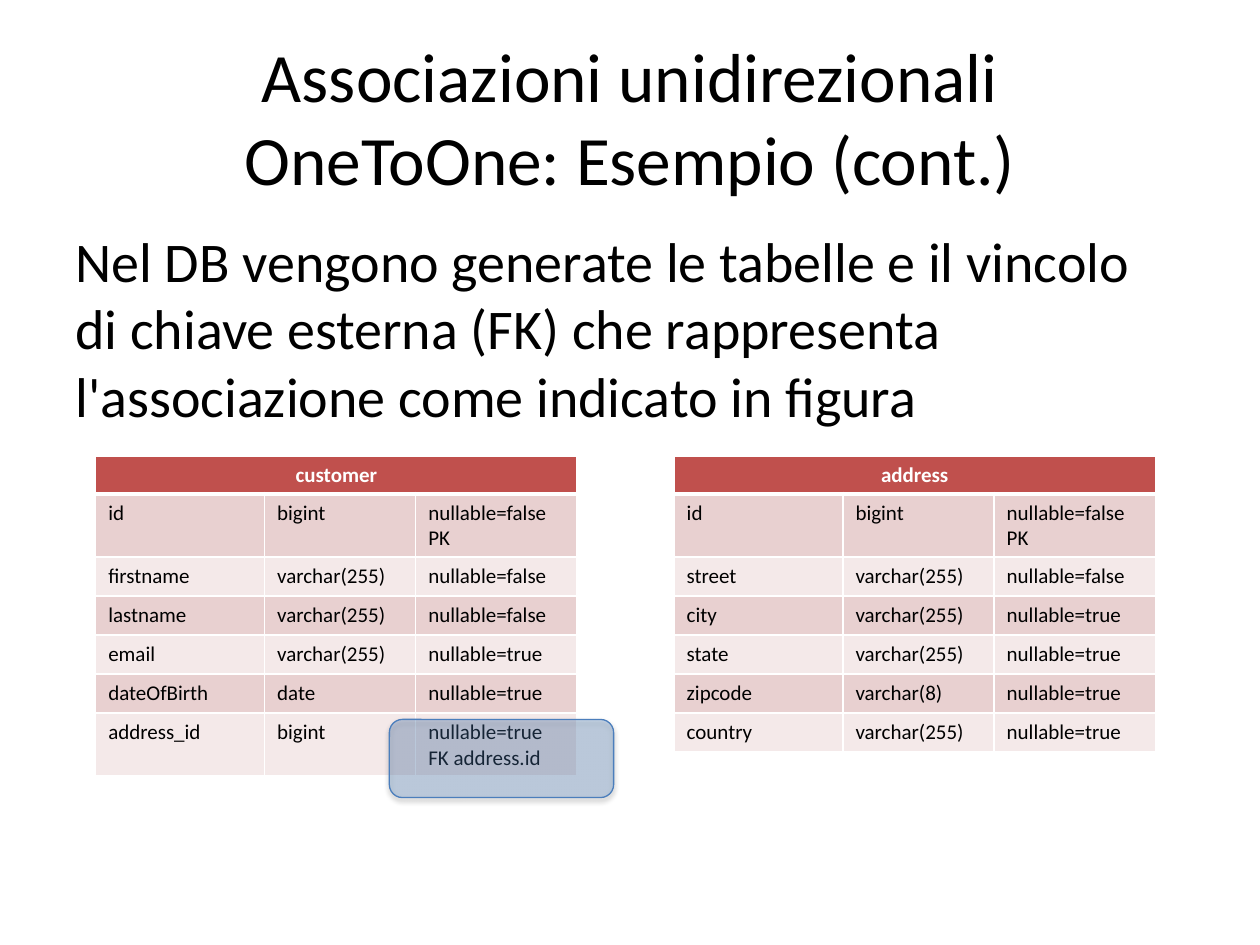
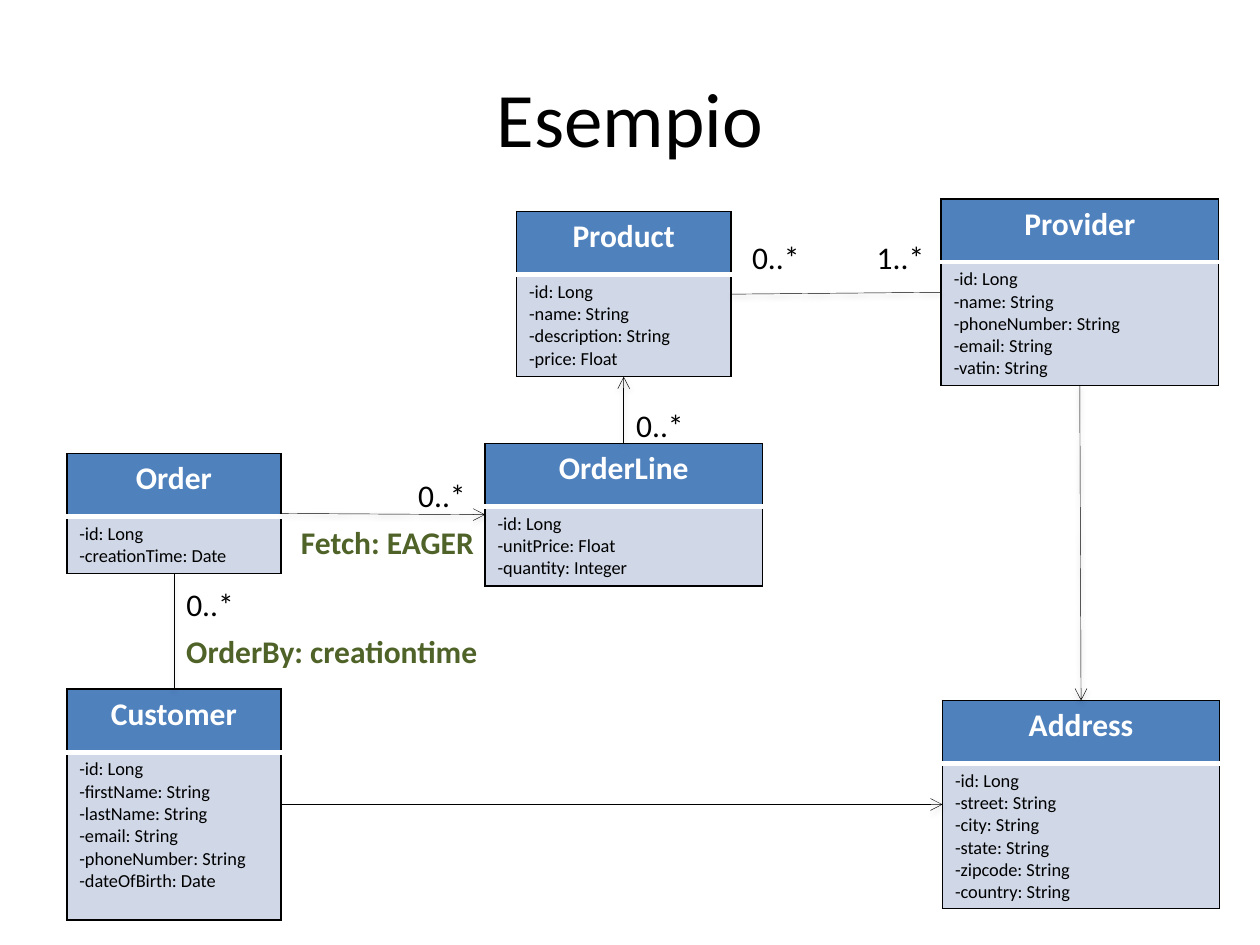
from dataclasses import dataclass

from lxml import etree
from pptx import Presentation
from pptx.dml.color import RGBColor
from pptx.enum.shapes import MSO_CONNECTOR, MSO_SHAPE
from pptx.enum.text import MSO_ANCHOR, PP_ALIGN
from pptx.oxml.ns import qn
from pptx.util import Emu, Inches, Pt

LEFT, CENTER = PP_ALIGN.LEFT, PP_ALIGN.CENTER
TOP_ANCHOR, MIDDLE_ANCHOR = MSO_ANCHOR.TOP, MSO_ANCHOR.MIDDLE
STRAIGHT = MSO_CONNECTOR.STRAIGHT
ROUNDED = MSO_SHAPE.ROUNDED_RECTANGLE
TOP, LEFT_SIDE, BOTTOM, RIGHT_SIDE = range(4)

SLIDE_W, SLIDE_H = Inches(10), Inches(7.5)
COLUMNS, ROWS = 100, 75
FONT = "Calibri"
BLACK, WHITE = "000000", "FFFFFF"
BLUE, BLUE_EDGE, PALE_BLUE = "4F81BD", "4B7EBC", "D0D8E8"
RED, BANDS = "C0504D", ("E8D0D0", "F4E9E9")
GREEN = "4F6228"


@dataclass(frozen=True)
class Style:
    size: float
    color: str = BLACK
    bold: bool = False
    align: PP_ALIGN = LEFT


@dataclass(frozen=True)
class Box:
    x: float
    y: float
    w: float
    h: float


@dataclass(frozen=True)
class DbTable:
    name: str
    x: float
    fields: tuple


@dataclass(frozen=True)
class UmlClass:
    name: str
    box: Box
    fields: tuple


@dataclass(frozen=True)
class Link:
    start: str
    start_side: int
    end: str
    end_side: int
    arrow: bool = True


@dataclass(frozen=True)
class Label:
    text: str
    box: Box
    style: Style


BODY = Style(32)
DB_HEAD, DB_CELL = Style(12, WHITE, True, CENTER), Style(12)
UML_HEAD, UML_CELL = Style(18, WHITE, True, CENTER), Style(10.5)
COUNT, NOTE = Style(18), Style(18, GREEN, True)

DB_TOP, DB_WIDTHS = 36.2, (13.4, 12, 12.8)
DB_HEAD_H, DB_ROW_H, UML_HEAD_H = 2.3, 3.1, 5
REQUIRED, OPTIONAL = "nullable=false", "nullable=true"
KEY = ("id", "bigint", "nullable=false\nPK")
TEXT = "varchar(255)"

DB_TABLES = (
    DbTable("customer", 7.6, (
        KEY,
        ("firstname", TEXT, REQUIRED),
        ("lastname", TEXT, REQUIRED),
        ("email", TEXT, OPTIONAL),
        ("dateOfBirth", "date", OPTIONAL),
        ("address_id", "bigint", "nullable=true\nFK address.id"),
    )),
    DbTable("address", 53.5, (
        KEY,
        ("street", TEXT, REQUIRED),
        ("city", TEXT, OPTIONAL),
        ("state", TEXT, OPTIONAL),
        ("zipcode", "varchar(8)", OPTIONAL),
        ("country", TEXT, OPTIONAL),
    )),
)

UML_CLASSES = (
    UmlClass("Product", Box(41, 16.8, 17, 13.1),
             ("id: Long", "name: String", "description: String", "price: Float")),
    UmlClass("Provider", Box(74.7, 15.8, 22, 14.8),
             ("id: Long", "name: String", "phoneNumber: String", "email: String",
              "vatin: String")),
    UmlClass("Order", Box(5.3, 36, 17, 9.5), ("id: Long", "creationTime: Date")),
    UmlClass("OrderLine", Box(38.5, 35.2, 22, 11.3),
             ("id: Long", "unitPrice: Float", "quantity: Integer")),
    UmlClass("Customer", Box(5.3, 54.7, 17, 18.3),
             ("id: Long", "firstName: String", "lastName: String", "email: String",
              "phoneNumber: String", "dateOfBirth: Date")),
    UmlClass("Address", Box(74.8, 55.6, 22, 16.5),
             ("id: Long", "street: String", "city: String", "state: String",
              "zipcode: String", "country: String")),
)

LINKS = (
    Link("Product", RIGHT_SIDE, "Provider", LEFT_SIDE, False),
    Link("Order", RIGHT_SIDE, "OrderLine", LEFT_SIDE),
    Link("OrderLine", TOP, "Product", BOTTOM),
    Link("Customer", RIGHT_SIDE, "Address", LEFT_SIDE),
    Link("Customer", TOP, "Order", BOTTOM, False),
    Link("Provider", BOTTOM, "Address", TOP),
)

LABELS = (
    Label("1..*", Box(68.6, 18.4, 5.8, 4), COUNT),
    Label("0..*", Box(58.7, 18.4, 5.8, 4), COUNT),
    Label("0..*", Box(32.2, 37.3, 5.8, 4), COUNT),
    Label("0..*", Box(13.8, 45.9, 5.8, 4), COUNT),
    Label("0..*", Box(49.5, 31.7, 5.8, 4), COUNT),
    Label("Fetch: EAGER", Box(22.9, 41, 15.9, 4), NOTE),
    Label("OrderBy: creationtime", Box(13.8, 49.7, 25.3, 4), NOTE),
)


def rgb(color: str) -> RGBColor:
    return RGBColor.from_string(color)


def col(n: float) -> Emu:
    return Emu(round(SLIDE_W * n / COLUMNS))


def row(n: float) -> Emu:
    return Emu(round(SLIDE_H * n / ROWS))


def place(box: Box) -> tuple:
    return col(box.x), row(box.y), col(box.w), row(box.h)


def style_paragraph(p, style: Style) -> None:
    p.alignment = style.align
    p.font.name = FONT
    p.font.size = Pt(style.size)
    p.font.bold = style.bold
    p.font.color.rgb = rgb(style.color)


def add_text(slide, box: Box, text: str, style: Style, wrap: bool = True,
             anchor: MSO_ANCHOR = TOP_ANCHOR) -> None:
    tf = slide.shapes.add_textbox(*place(box)).text_frame
    tf.word_wrap = wrap
    tf.vertical_anchor = anchor
    p = tf.paragraphs[0]
    p.text = text
    style_paragraph(p, style)


def add_title(slide, text: str, size: float) -> None:
    add_text(slide, Box(5, 3, 90, 12.5), text, Style(size, align=CENTER),
             anchor=MIDDLE_ANCHOR)


def add_shadow(sp, opacity: int, distance: float) -> None:
    effects = etree.SubElement(sp._element.spPr, qn("a:effectLst"))
    shadow = etree.SubElement(effects, qn("a:outerShdw"), blurRad=str(Pt(3.1)),
                              dist=str(Pt(distance)), dir="5400000", rotWithShape="0")
    color = etree.SubElement(shadow, qn("a:srgbClr"), val=BLACK)
    etree.SubElement(color, qn("a:alpha"), val=str(opacity * 1000))


def fill_cell(cell, text: str, style: Style, fill: str, edge: str,
              top: tuple, bottom: tuple) -> None:
    tc_pr = cell._tc.get_or_add_tcPr()
    sides = {"L": (edge, 1), "R": (edge, 1), "T": top, "B": bottom}
    for side, (color, width) in sides.items():
        ln = etree.SubElement(tc_pr, qn(f"a:ln{side}"), w=str(Pt(width)))
        solid = etree.SubElement(ln, qn("a:solidFill"))
        etree.SubElement(solid, qn("a:srgbClr"), val=color)
    cell.fill.solid()
    cell.fill.fore_color.rgb = rgb(fill)
    cell.text = text
    for p in cell.text_frame.paragraphs:
        style_paragraph(p, style)


def add_grid(slide, x: float, y: float, widths: tuple, heights: tuple):
    box = Box(x, y, sum(widths), sum(heights))
    frame = slide.shapes.add_table(len(heights), len(widths), *place(box))
    table = frame.table
    table.first_row = table.horz_banding = False
    for column, width in zip(table.columns, widths):
        column.width = col(width)
    for line, height in zip(table.rows, heights):
        line.height = row(height)
    return frame


def add_db_table(slide, db: DbTable) -> None:
    heights = (DB_HEAD_H,) + (DB_ROW_H,) * len(db.fields)
    table = add_grid(slide, db.x, DB_TOP, DB_WIDTHS, heights).table
    thin, thick = (WHITE, 1), (WHITE, 3)
    for i in range(len(DB_WIDTHS)):
        fill_cell(table.cell(0, i), "" if i else db.name, DB_HEAD, RED, WHITE, thin, thick)
    table.cell(0, 0).merge(table.cell(0, len(DB_WIDTHS) - 1))
    for n, field in enumerate(db.fields):
        for i, text in enumerate(field):
            fill_cell(table.cell(n + 1, i), text, DB_CELL, BANDS[n % 2], WHITE,
                      thin if n else thick, thin)


def add_uml_class(slide, uml: UmlClass):
    box = uml.box
    frame = add_grid(slide, box.x, box.y, (box.w,), (UML_HEAD_H, box.h - UML_HEAD_H))
    head, body = (frame.table.cell(n, 0) for n in range(2))
    outer, divider = (BLACK, 1), (WHITE, 3)
    fill_cell(head, uml.name, UML_HEAD, BLUE, BLACK, outer, divider)
    fields = "\n".join(f"-{field}" for field in uml.fields)
    fill_cell(body, fields, UML_CELL, PALE_BLUE, BLACK, divider, outer)
    return frame


def add_link(slide, frames: dict, link: Link) -> None:
    sp = slide.shapes.add_connector(STRAIGHT, 0, 0, 0, 0)
    sp.begin_connect(frames[link.start], link.start_side)
    sp.end_connect(frames[link.end], link.end_side)
    sp.line.color.rgb = rgb(BLACK)
    sp.line.width = Pt(0.25)
    if link.arrow:
        etree.SubElement(sp.line._get_or_add_ln(), qn("a:tailEnd"), type="arrow")
    add_shadow(sp, 38, 1.6)


def add_highlight(slide, box: Box) -> None:
    sp = slide.shapes.add_shape(ROUNDED, *place(box))
    sp.fill.solid()
    sp.fill.fore_color.rgb = rgb(BLUE)
    color = sp._element.spPr.find(qn("a:solidFill"))[0]
    etree.SubElement(color, qn("a:alpha"), val="29000")
    sp.line.color.rgb = rgb(BLUE_EDGE)
    sp.line.width = Pt(0.75)
    add_shadow(sp, 35, 1.8)


def build_tables_slide(slide) -> None:
    add_title(slide, "Associazioni unidirezionali\nOneToOne: Esempio (cont.)", 39.6)
    add_text(slide, Box(5, 17.5, 90, 49.5),
             "Nel DB vengono generate le tabelle e il vincolo di chiave esterna (FK) "
             "che rappresenta l'associazione come indicato in figura", BODY)
    for db in DB_TABLES:
        add_db_table(slide, db)
    add_highlight(slide, Box(30.9, 57.1, 17.8, 6.2))


def build_classes_slide(slide) -> None:
    add_title(slide, "Esempio", 44)
    frames = {uml.name: add_uml_class(slide, uml) for uml in UML_CLASSES}
    for link in LINKS:
        add_link(slide, frames, link)
    for label in LABELS:
        add_text(slide, label.box, label.text, label.style, wrap=False)


def main() -> None:
    prs = Presentation()
    prs.slide_width, prs.slide_height = SLIDE_W, SLIDE_H
    for build in (build_tables_slide, build_classes_slide):
        build(prs.slides.add_slide(prs.slide_layouts[6]))
    prs.save("out.pptx")


if __name__ == "__main__":
    main()
